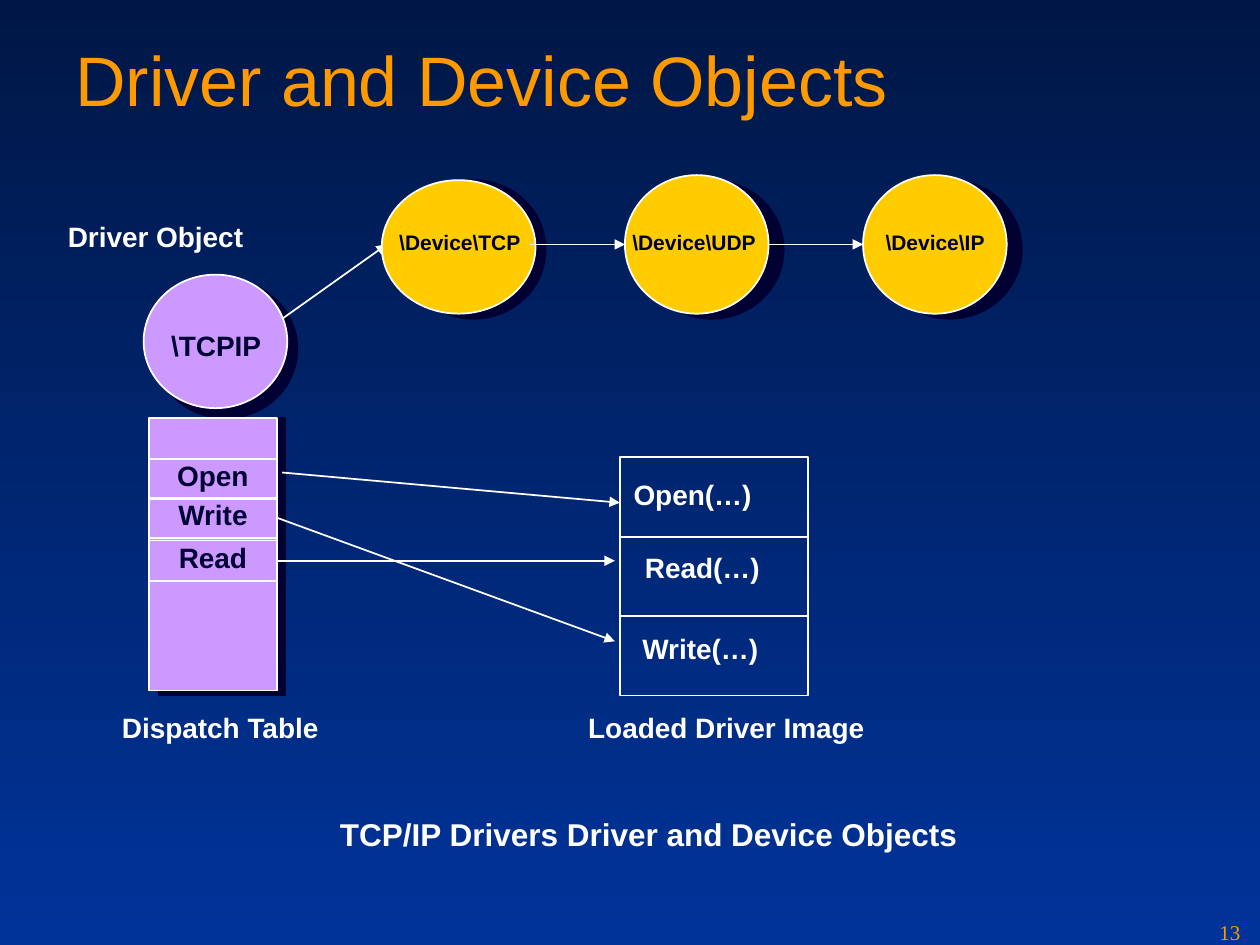
from dataclasses import dataclass

from lxml.etree import SubElement
from pptx import Presentation
from pptx.dml.color import RGBColor
from pptx.enum.shapes import MSO_CONNECTOR, MSO_SHAPE
from pptx.enum.text import MSO_ANCHOR, PP_ALIGN
from pptx.oxml.ns import qn
from pptx.util import Inches, Pt


@dataclass(frozen=True)
class Theme:
    """Colours, fonts and type sizes of the slide."""
    top: str = "001746"
    base: str = "003399"
    head: str = "FE9900"
    dark: str = "000033"
    light: str = "FFFFFF"
    driver: str = "CC99FF"
    device: str = "FFCC00"
    sans: str = "Arial"
    serif: str = "Times New Roman"
    title: int = 40
    note: int = 18
    label: int = 16
    small: int = 12
    rule: int = 1


LOOK = Theme()


def assign(item, values):
    """Set each named attribute of an item."""
    for name, value in values.items():
        setattr(item, name, value)


def write(shape, text, size, color, face=LOOK.sans, bold=True, top=0, **style):
    """Put one line of styled text in a shape."""
    frame = shape.text_frame
    assign(frame, {
        "margin_left": Inches(0.1), "margin_right": Inches(0.1),
        "margin_top": Inches(top), "margin_bottom": Inches(0.05),
        "word_wrap": False, "vertical_anchor": MSO_ANCHOR.TOP, **style})
    line = frame.paragraphs[0]
    line.text = text
    assign(line.font, {"name": face, "size": Pt(size), "bold": bold})
    line.font.color.rgb = RGBColor.from_string(color)
    return line


def label(slide, text, at, size=LOOK.label, color=LOOK.light, **style):
    """Add a free text label."""
    box = slide.shapes.add_textbox(*map(Inches, at))
    write(box, text, size, color, **style)


def figure(slide, kind, at, fill=None, edge=LOOK.light):
    """Add an outlined shape, filled if a colour is given."""
    shape = slide.shapes.add_shape(kind, *map(Inches, at))
    shape.shadow.inherit = False
    if fill:
        shape.fill.solid()
        shape.fill.fore_color.rgb = RGBColor.from_string(fill)
    else:
        shape.fill.background()
    shape.line.color.rgb = RGBColor.from_string(edge)
    shape.line.width = Pt(LOOK.rule)
    return shape


def raised(slide, kind, shade, face, fill):
    """Add a shape in front of its dark backing."""
    figure(slide, kind, shade, LOOK.dark, LOOK.dark)
    figure(slide, kind, face, fill)


def arrow(slide, start, end, source=None):
    """Add an arrow, joined to the right side of its source if given."""
    line = slide.shapes.add_connector(
        MSO_CONNECTOR.STRAIGHT, *map(Inches, (*start, *end)))
    if source:
        line.begin_connect(source, 3)
    line.line.color.rgb = RGBColor.from_string(LOOK.light)
    line.line.width = Pt(LOOK.rule)
    SubElement(line.line._get_or_add_ln(), qn("a:tailEnd"), type="triangle")
    SubElement(line._element.spPr, qn("a:effectLst"))


def paint(slide):
    """Fill the background with a vertical gradient."""
    fill = slide.background.fill
    fill.gradient()
    fill.gradient_angle = 270
    for stop, color in zip(fill.gradient_stops, (LOOK.top, LOOK.base)):
        stop.color.rgb = RGBColor.from_string(color)


def devices(slide):
    """Draw the driver object and its chain of devices."""
    raised(slide, MSO_SHAPE.OVAL, (1.22, 2.22, 1.14, 1.1),
           (1.14, 2.18, 1.14, 1.06), LOOK.driver)
    label(slide, "\\TCPIP", (1.26, 2.61, 0.92, 0.32), color=LOOK.dark)
    label(slide, "Driver Object", (0.44, 1.74, 1.59, 0.32))
    arrow(slide, (2.24, 2.53), (3.07, 1.94))
    chain = (
        ("TCP", (3.03, 1.43, 1.22, 1.06), 3.07, 1.18),
        ("UDP", (4.96, 1.39, 1.14, 1.1), 4.92, 1.2),
        ("IP", (6.85, 1.39, 1.14, 1.1), 6.93, 1))
    for step, (name, face, left, width) in enumerate(chain):
        shade = (3.19 + 1.89 * step, 1.43, 1.14, 1.1)
        raised(slide, MSO_SHAPE.OVAL, shade, face, LOOK.device)
        label(slide, f"\\Device\\{name}", (left, 1.82, width, 0.25),
              LOOK.small, LOOK.dark)
    for left in (4.21, 6.1):
        arrow(slide, (left, 1.94), (left + 0.75, 1.94))


def dispatch(slide):
    """Draw the dispatch table and return its rows by name."""
    raised(slide, MSO_SHAPE.RECTANGLE, (1.26, 3.32, 1, 2.2),
           (1.18, 3.32, 1.02, 2.16), LOOK.driver)
    rows = {}
    for name, top in (("Open", 3.64), ("Write", 3.95), ("Read", 4.29)):
        row = figure(slide, MSO_SHAPE.RECTANGLE, (1.18, top, 1.02, 0.32))
        line = write(row, name, LOOK.label, LOOK.dark, word_wrap=True,
                     vertical_anchor=MSO_ANCHOR.MIDDLE)
        line.alignment = PP_ALIGN.CENTER
        rows[name] = row
    label(slide, "Dispatch Table", (0.87, 5.64, 1.77, 0.32))
    return rows


def loaded(slide):
    """Draw the loaded driver image with its routines."""
    cells = (("Open", 4.93, 3.79), ("Read", 5.02, 4.37), ("Write", 5, 5.01))
    for step, (name, left, top) in enumerate(cells):
        figure(slide, MSO_SHAPE.RECTANGLE,
               (4.92, 3.63 + 0.63 * step, 1.49, 0.63))
        label(slide, f"{name}(…)", (left, top, 1.25, 0.32))
    label(slide, "Loaded Driver Image", (4.57, 5.64, 2.39, 0.32))


def main():
    """Build the slide and save it."""
    deck = Presentation()
    assign(deck, {"slide_width": Inches(10), "slide_height": Inches(7.5)})
    slide = deck.slides.add_slide(deck.slide_layouts[6])
    paint(slide)
    label(slide, "Driver and Device Objects", (0.5, 0.24, 9, 1.25),
          LOOK.title, LOOK.head, bold=False, top=0.05, word_wrap=True)
    devices(slide)
    rows = dispatch(slide)
    loaded(slide)
    arrow(slide, (2.24, 3.75), (4.92, 3.99))
    arrow(slide, (2.2, 4.45), (4.88, 4.45), rows["Read"])
    arrow(slide, (2.2, 4.11), (4.88, 5.09), rows["Write"])
    label(slide, "TCP/IP Drivers Driver and Device Objects",
          (2.6, 6.47, 5.1, 0.35), LOOK.note)
    label(slide, "13", (9.58, 7.25, 0.42, 0.25), LOOK.small, LOOK.head,
          face=LOOK.serif, bold=False, top=0.05, word_wrap=True)
    deck.save("out.pptx")


if __name__ == "__main__":
    main()
